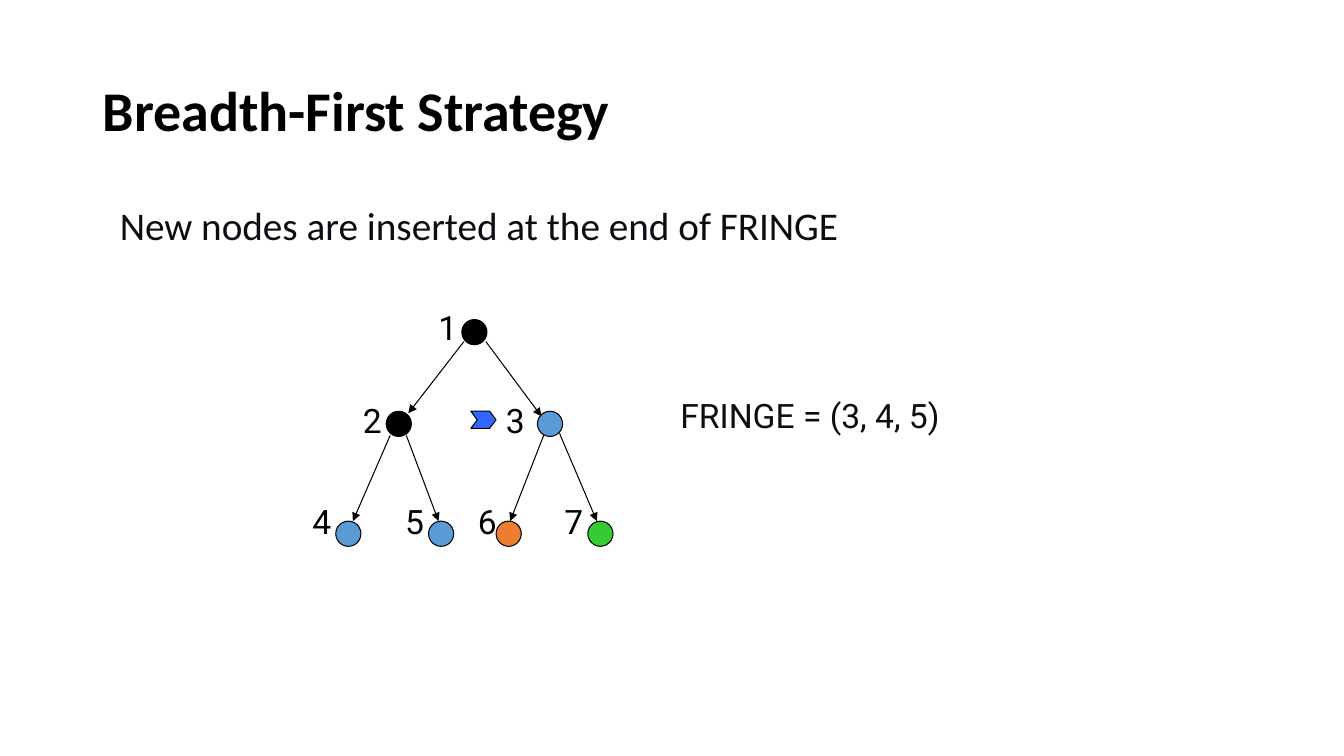
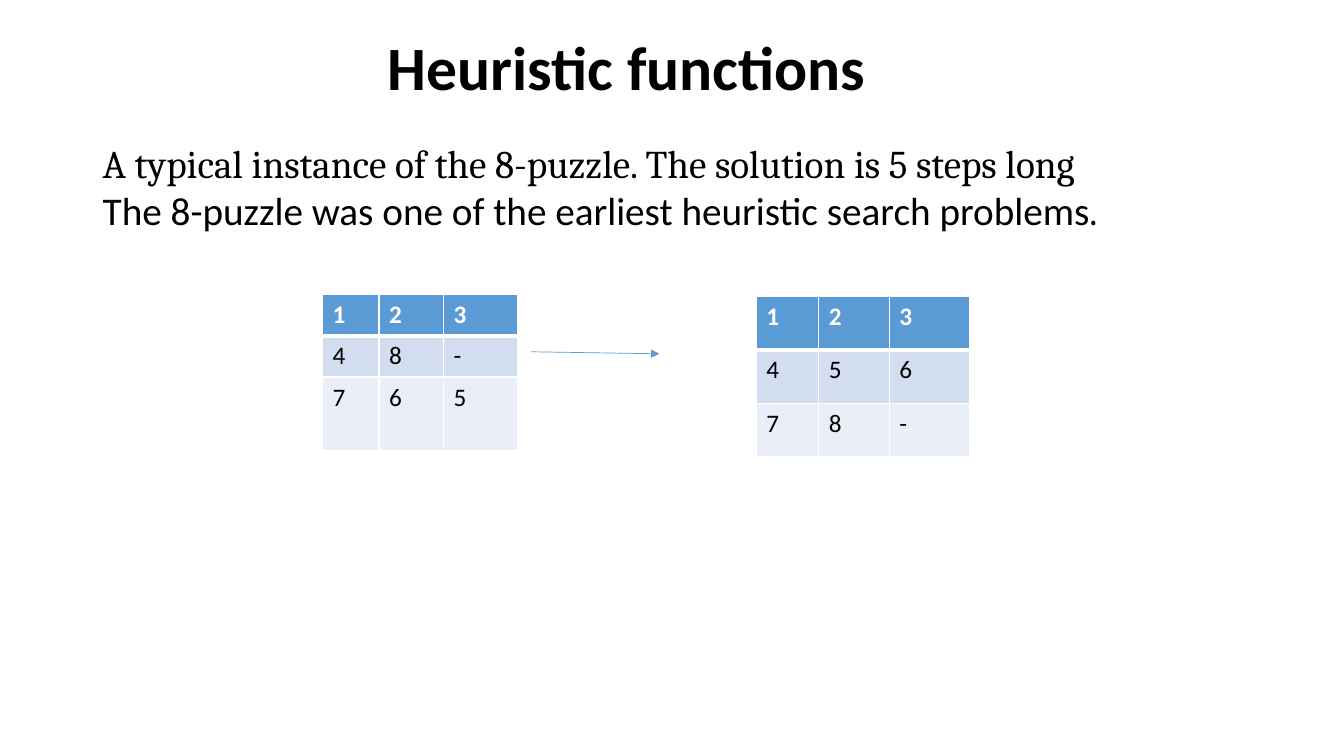
from dataclasses import dataclass
from typing import Optional

from lxml.etree import SubElement
from pptx import Presentation
from pptx.dml.color import RGBColor
from pptx.enum.shapes import MSO_CONNECTOR, MSO_SHAPE
from pptx.enum.text import MSO_ANCHOR
from pptx.oxml.ns import qn
from pptx.slide import Slide
from pptx.util import Inches, Pt

BLACK, WHITE, INK = "000000", "FFFFFF", "0C0C12"
BLUE, ORANGE, GREEN, ROYAL = "5B9BD5", "ED7D31", "33CC33", "3366FF"
ROWS = [BLUE, "D2DEEF", "EAEFF7"]
DOT = 0.25

# Text formats
TITLE = {"name": "Calibri", "size": Pt(40), "bold": True}
BIG = {**TITLE, "size": Pt(44)}
BODY = {"name": "Calibri", "size": Pt(28)}
SERIF = {**BODY, "name": "Cambria"}
LABEL = {"name": "Roboto", "size": Pt(24)}
CELL = {"name": "Calibri", "size": Pt(18), "bold": False}
HEAD = {**CELL, "bold": True}
TIGHT = {"line_spacing": 0.9}


@dataclass
class Run:
    text: str
    font: dict
    color: str = BLACK


@dataclass
class Node:
    name: str
    level: int
    x: float
    label: float
    color: str


@dataclass
class Edge:
    x1: float
    y1: float
    x2: float
    y2: float


@dataclass
class Board:
    x: float
    y: float
    cols: list[float]
    rows: list[float]
    cells: list[str]


# Tree: dot top and label top for each level
LEVELS = [(3.17, 3), (4.08, 3.92), (5.17, 4.92)]
NODES = [
    Node("1", 0, 4.58, 4.25, BLACK),
    Node("2", 1, 3.83, 3.5, BLACK),
    Node("3", 1, 5.33, 4.92, BLUE),
    Node("4", 2, 3.33, 3, BLUE),
    Node("5", 2, 4.25, 3.92, BLUE),
    Node("6", 2, 4.92, 4.64, ORANGE),
    Node("7", 2, 5.83, 5.5, GREEN),
]
EDGES = [
    Edge(4.6, 3.39, 4.05, 4.1),
    Edge(4.82, 3.39, 5.37, 4.13),
    Edge(3.87, 4.32, 3.5, 5.17),
    Edge(4.03, 4.32, 4.35, 5.17),
    Edge(5.4, 4.3, 5.06, 5.17),
    Edge(5.55, 4.3, 5.92, 5.17),
]

BOARDS = [
    Board(3.2, 2.92, [0.56, 0.64, 0.73], [0.41, 0.41, 0.73],
          ["123", "48-", "765"]),
    Board(7.5, 2.94, [0.62, 0.7, 0.8], [0.53] * 3,
          ["123", "456", "78-"]),
]


def rgb(code: str) -> RGBColor:
    return RGBColor.from_string(code)


def put(item: object, style: dict) -> None:
    for key, value in style.items():
        setattr(item, key, value)


def write(par, runs: list[Run]) -> None:
    for part in runs:
        run = par.add_run()
        run.text = part.text
        put(run.font, part.font)
        run.font.color.rgb = rgb(part.color)


def add_text(slide: Slide, x: float, y: float, w: float, h: float,
             lines: list[list[Run]], wrap: bool = True,
             style: Optional[dict] = None) -> object:
    frame = slide.shapes.add_textbox(
        Inches(x), Inches(y), Inches(w), Inches(h)).text_frame
    frame.word_wrap = wrap
    for i, runs in enumerate(lines):
        par = frame.add_paragraph() if i else frame.paragraphs[0]
        put(par, style or {})
        write(par, runs)
    return frame


def add_title(slide: Slide, x: float, y: float, w: float,
              text: str, font: dict) -> None:
    frame = add_text(slide, x, y, w, 1.45, [[Run(text, font)]], style=TIGHT)
    frame.vertical_anchor = MSO_ANCHOR.MIDDLE


def add_mark(slide: Slide, kind: MSO_SHAPE, x: float, y: float,
             h: float, color: str) -> object:
    mark = slide.shapes.add_shape(
        kind, Inches(x), Inches(y), Inches(DOT), Inches(h))
    mark.shadow.inherit = False
    mark.fill.solid()
    mark.fill.fore_color.rgb = rgb(color)
    mark.line.color.rgb = rgb(BLACK)
    mark.line.width = Pt(0.75)
    return mark


def add_arrow(slide: Slide, edge: Edge, color: str, width: float) -> None:
    line = slide.shapes.add_connector(
        MSO_CONNECTOR.STRAIGHT, Inches(edge.x1), Inches(edge.y1),
        Inches(edge.x2), Inches(edge.y2))
    line.line.color.rgb = rgb(color)
    line.line.width = Pt(width)
    props = line._element.spPr
    SubElement(props.find(qn("a:ln")), qn("a:tailEnd"), type="triangle")
    SubElement(props, qn("a:effectLst"))


def add_rims(cell, row: int) -> None:
    props = cell._tc.get_or_add_tcPr()
    thick = {(0, "B"), (1, "T")}
    for i, side in enumerate("LRTB"):
        width = Pt(3 if (row, side) in thick else 1)
        rim = SubElement(props, qn(f"a:ln{side}"), w=str(width))
        fill = SubElement(rim, qn("a:solidFill"))
        SubElement(fill, qn("a:srgbClr"), val=WHITE)
        props.insert(i, rim)


def add_board(slide: Slide, board: Board) -> None:
    table = slide.shapes.add_table(
        len(board.rows), len(board.cols), Inches(board.x), Inches(board.y),
        Inches(sum(board.cols)), Inches(sum(board.rows))).table
    for col, width in zip(table.columns, board.cols):
        col.width = Inches(width)
    for r, (height, texts) in enumerate(zip(board.rows, board.cells)):
        table.rows[r].height = Inches(height)
        for c, text in enumerate(texts):
            cell = table.cell(r, c)
            cell.fill.solid()
            cell.fill.fore_color.rgb = rgb(ROWS[r])
            add_rims(cell, r)
            run = Run(text, CELL) if r else Run(text, HEAD, WHITE)
            write(cell.text_frame.paragraphs[0], [run])


def draw_tree(slide: Slide) -> None:
    add_title(slide, 0.92, 0.4, 11.5, "Breadth-First Strategy", TITLE)
    rule = "New nodes are inserted at the end of FRINGE"
    add_text(slide, 1.09, 2, 11.33, 0.6, [[Run(rule, BODY, INK)]],
             style={**TIGHT, "space_before": Pt(10)})
    add_text(slide, 6.65, 3.87, 3, 0.5,
             [[Run("FRINGE = (3, 4, 5)", LABEL, INK)]], wrap=False)
    # Pointer to the next node
    mark = add_mark(slide, MSO_SHAPE.CHEVRON, 4.67, 4.08, 0.17, ROYAL)
    mark.adjustments[0] = 0.375
    # Arrows, dots and labels
    for edge in EDGES:
        add_arrow(slide, edge, BLACK, 0.75)
    for node in NODES:
        top, label = LEVELS[node.level]
        add_mark(slide, MSO_SHAPE.OVAL, node.x, top, DOT, node.color)
        add_text(slide, node.label, label, 0.38, 0.5,
                 [[Run(node.name, LABEL)]], wrap=False)


def draw_puzzle(slide: Slide) -> None:
    add_title(slide, 3.75, -0.03, 9.5, "Heuristic functions", BIG)
    add_text(slide, 0.92, 1.33, 11.82, 1.04, [
        [Run("A typical instance of the 8-puzzle. "
             "The solution is 5 steps long", SERIF)],
        [Run("The 8-puzzle was one of the earliest "
             "heuristic search problems", BODY), Run(".", SERIF)],
    ])
    # Start and goal
    for board in BOARDS:
        add_board(slide, board)
    add_arrow(slide, Edge(5.27, 3.49, 6.54, 3.51), BLUE, 0.5)


def main() -> None:
    deck = Presentation()
    deck.slide_width, deck.slide_height = Inches(13.33), Inches(7.5)
    for draw in (draw_tree, draw_puzzle):
        draw(deck.slides.add_slide(deck.slide_layouts[6]))
    deck.save("out.pptx")


if __name__ == "__main__":
    main()
